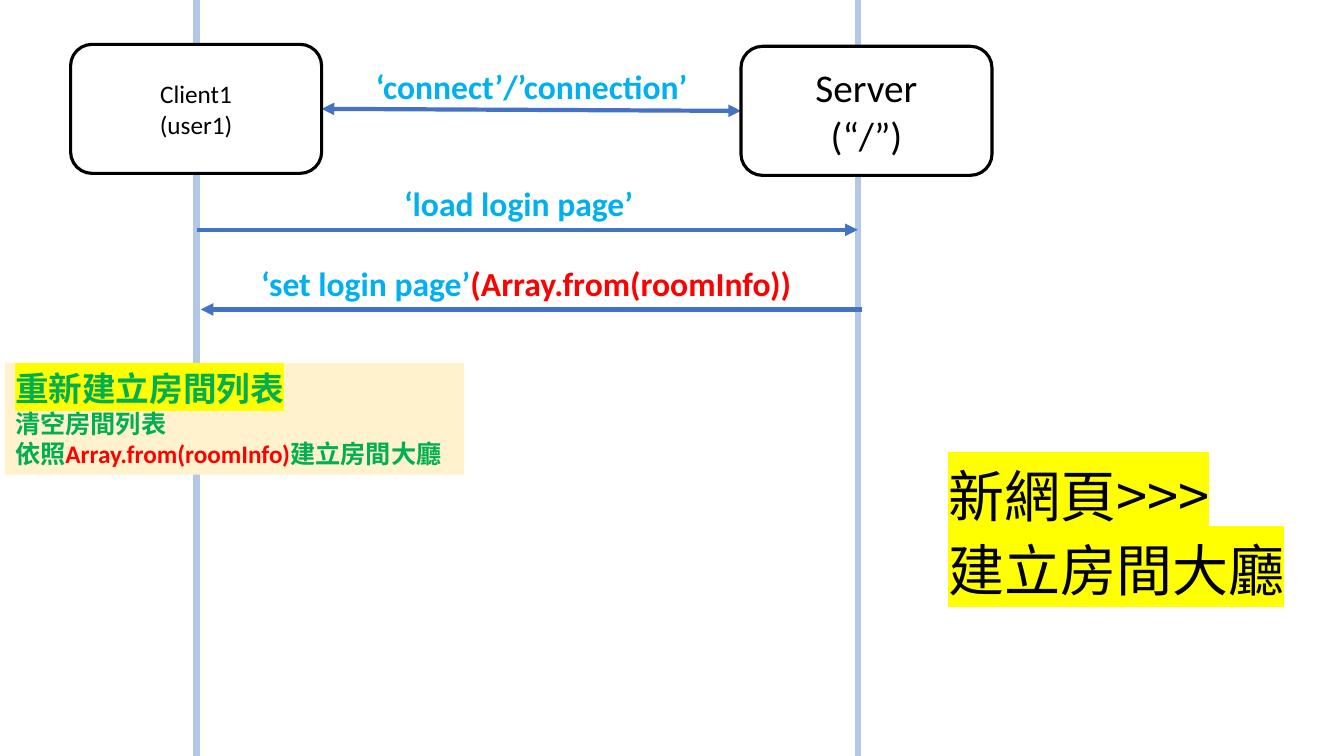
"""Sequence diagram of a client loading the login page from a server."""
from lxml import etree
from pptx import Presentation
from pptx import util as u
from pptx.dml.color import RGBColor
from pptx.enum import shapes, text
from pptx.oxml.ns import qn

deck = Presentation()
deck.slide_width, deck.slide_height = u.Inches(13.33), u.Inches(7.5)
page = deck.slides.add_slide(deck.slide_layouts[6])
col, row = deck.slide_width / 100, deck.slide_height / 100
hue = RGBColor.from_string
sky, red, green, black = "00B0F0", "FF0000", "00B050", "000000"
latin, asian = "Calibri", "Noto Sans CJK SC"
left, right = 14.63, 63.83


def place(x, y, wide, high):
    """Turn shares of the slide into lengths."""
    return [u.Emu(int(n)) for n in (x * col, y * row, wide * col, high * row)]


def write(frame, lines, mid=False, face=latin, gap=1.0):
    """Fill a frame with lines of (words, size, colour, bold, mark) runs."""
    frame.word_wrap = True
    if not mid:
        frame.margin_right = 0
    for i, line in enumerate(lines):
        para = frame.add_paragraph() if i else frame.paragraphs[0]
        para.alignment = text.PP_ALIGN.CENTER if mid else text.PP_ALIGN.LEFT
        para.line_spacing = gap
        for words, size, tint, bold, mark in line:
            run = para.add_run()
            run.text = words
            font = run.font
            font.size, font.bold, font.name = u.Pt(size), bold, face
            font.color.rgb = hue(tint)
            props = run._r.get_or_add_rPr()
            base = props.find(qn("a:latin"))
            base.addnext(etree.Element(qn("a:ea"), typeface=asian))
            if mark:
                glow = etree.Element(qn("a:highlight"))
                etree.SubElement(glow, qn("a:srgbClr"), val="FFFF00")
                base.addprevious(glow)


pale, blue = ("B4C7E7", 4.5), ("4472C4", 3)
for x, y, end, low, (tint, size), tips in [
    (left, 0, left, 100, pale, []),
    (right, 0, right, 100, pale, []),
    (23.93, 14.4, 55.13, 14.67, blue, ["headEnd", "tailEnd"]),
    (left, 30.4, right, 30.4, blue, ["tailEnd"]),
    (64.13, 40.93, 14.93, 40.93, blue, ["tailEnd"]),
]:
    line = page.shapes.add_connector(shapes.MSO_CONNECTOR.STRAIGHT, *place(x, y, end, low))
    line.line.color.rgb, line.line.width = hue(tint), u.Pt(size)
    for tip in tips:
        etree.SubElement(line.line._get_or_add_ln(), qn("a:" + tip), type="triangle")
    etree.SubElement(line._element.spPr, qn("a:effectLst"))

for x, y, size, names in [
    (5.25, 5.87, 18, ["Client1", "(user1)"]),
    (55.13, 6.13, 28, ["Server", "(“/”)"]),
]:
    box = page.shapes.add_shape(shapes.MSO_SHAPE.ROUNDED_RECTANGLE, *place(x, y, 18.68, 17.07))
    box.shadow.inherit = False
    box.fill.solid()
    box.fill.fore_color.rgb = hue("FFFFFF")
    box.line.color.rgb, box.line.width = hue(black), u.Pt(2.25)
    box.text_frame.vertical_anchor = text.MSO_ANCHOR.MIDDLE
    write(box.text_frame, [[(name, size, black, False, False)] for name in names], mid=True)

for x, y, wide, words, extra, mid in [
    (27.23, 8, 27.68, "‘connect’/’connection’", "", False),
    (29.33, 23.6, 27.9, "‘load login page’", "", False),
    (13.91, 34.13, 50.48, "‘set login page’", "(Array.from(roomInfo))", True),
]:
    label = page.shapes.add_textbox(*place(x, y, wide, 6.67))
    runs = [(words, 24, sky, True, False)]
    if extra:
        runs.append((extra, 24, red, True, False))
    write(label.text_frame, [runs], mid)

note = page.shapes.add_textbox(*place(0.38, 48, 34.13, 14.8))
note.fill.solid()
note.fill.fore_color.rgb = hue("FFF2CC")
write(note.text_frame, [
    [("重新建立房間列表", 24, green, True, True)],
    [("清空房間列表", 18, green, True, False)],
    [("依照", 18, green, True, False),
     ("Array.from(roomInfo)", 18, red, True, False),
     ("建立房間大廳", 18, green, True, False)],
])

title = page.shapes.add_textbox(*place(69.83, 59.47, 27.98, 19.33))
write(title.text_frame, [[(words, 40, black, False, True)]
                         for words in ("新網頁>>>", "建立房間大廳")], face=asian, gap=1.1)

deck.save("out.pptx")
